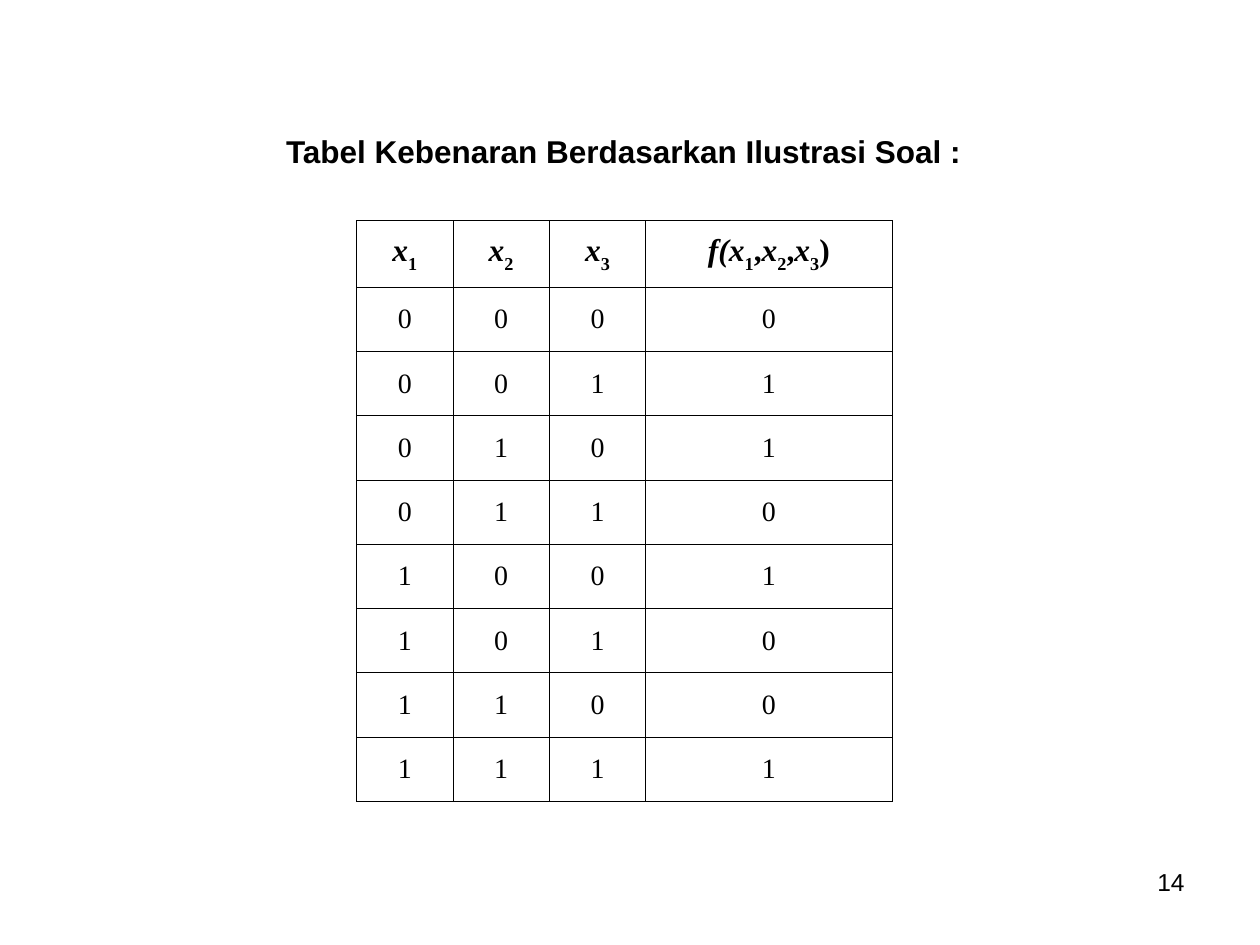
from itertools import product

from lxml.etree import SubElement
from pptx import Presentation
from pptx.dml.color import RGBColor
from pptx.enum.text import MSO_ANCHOR as Anchor, PP_ALIGN as Align
from pptx.oxml.ns import qn
from pptx.util import Inches, Pt

WIDTH, HEIGHT = 10, 7.5
INK = "000000"
SANS, SERIF = "Arial", "Times New Roman"
COLUMN_SHARES = (0.18, 0.18, 0.18, 0.46)
HEADER_HEIGHT, ROW_HEIGHT = 0.53, 0.51
# Each heading is split where its style changes
HEADINGS = (
    ("x", "1"),
    ("x", "2"),
    ("x", "3"),
    ("f(x", "1", ",", "x", "2", ",", "x", "3", ")"),
)


def color(hex_value):
    return RGBColor.from_string(hex_value)


def add_run(paragraph, text, **formats):
    run = paragraph.add_run()
    run.text = text
    run.font.color.rgb = color(INK)
    for name, value in formats.items():
        setattr(run.font, name, value)
    return run


def place(shape, left, top, width, height):
    box = dict(left=left, top=top, width=width, height=height)
    for name, inches in box.items():
        setattr(shape, name, Inches(inches))


def add_heading(slide, text):
    title = slide.shapes.title
    place(title, 2.17, 1, 5.57, 0.4)
    frame = title.text_frame
    frame.word_wrap = False
    frame.vertical_anchor = Anchor.TOP
    line = frame.paragraphs[0]
    line.alignment = Align.LEFT
    add_run(line, text, name=SANS, size=Pt(18), bold=True)


def add_page_number(slide, number):
    corner = slide.shapes.add_textbox(*map(Inches, (7.17, 6.83, 2.33, 0.52)))
    corner.text_frame.word_wrap = True
    line = corner.text_frame.paragraphs[0]
    line.alignment = Align.RIGHT
    add_run(line, str(number), name=SANS, size=Pt(14))


def add_borders(cell, width=0.45):
    properties = cell._tc.get_or_add_tcPr()
    for position, side in enumerate(("a:lnL", "a:lnR", "a:lnT", "a:lnB")):
        border = SubElement(properties, qn(side), w=str(Pt(width)))
        fill = SubElement(border, qn("a:solidFill"))
        SubElement(fill, qn("a:srgbClr"), val=INK)
        properties.insert(position, border)


def style_cell(cell):
    cell.vertical_anchor = Anchor.MIDDLE
    cell.fill.background()
    add_borders(cell)
    line = cell.text_frame.paragraphs[0]
    line.alignment = Align.CENTER
    return line


def write_variables(line, pieces):
    """Set variables in italics and their indices as subscripts."""
    for piece in pieces:
        run = add_run(line, piece, name=SERIF, size=Pt(18), bold=True,
                      italic=piece.endswith("x"))
        if piece.isdigit():
            run.font._element.set("baseline", "-30000")


def add_truth_table(slide, left, top, width):
    # The function is 1 for an odd number of ones
    truth_rows = [(*bits, sum(bits) % 2) for bits in product((0, 1), repeat=3)]
    height = HEADER_HEIGHT + ROW_HEIGHT * len(truth_rows)
    table = slide.shapes.add_table(
        len(truth_rows) + 1, len(HEADINGS),
        *map(Inches, (left, top, width, height))).table
    table.first_row = table.horz_banding = False

    for column, share in zip(table.columns, COLUMN_SHARES):
        column.width = Inches(width * share)
    for index, row in enumerate(table.rows):
        row.height = Inches(ROW_HEIGHT if index else HEADER_HEIGHT)

    # Header
    for column, pieces in enumerate(HEADINGS):
        write_variables(style_cell(table.cell(0, column)), pieces)
    # Truth values
    for row, values in enumerate(truth_rows, start=1):
        for column, value in enumerate(values):
            add_run(style_cell(table.cell(row, column)), str(value),
                    name=SERIF, size=Pt(16))


def main():
    deck = Presentation()
    deck.slide_width, deck.slide_height = Inches(WIDTH), Inches(HEIGHT)
    slide = deck.slides.add_slide(deck.slide_layouts[5])
    slide.background.fill.solid()
    slide.background.fill.fore_color.rgb = color("FFFFFF")

    add_page_number(slide, 14)
    add_truth_table(slide, left=2.83, top=1.75, width=4.25)
    add_heading(slide, "Tabel Kebenaran Berdasarkan Ilustrasi Soal :")
    deck.save("out.pptx")


if __name__ == "__main__":
    main()
